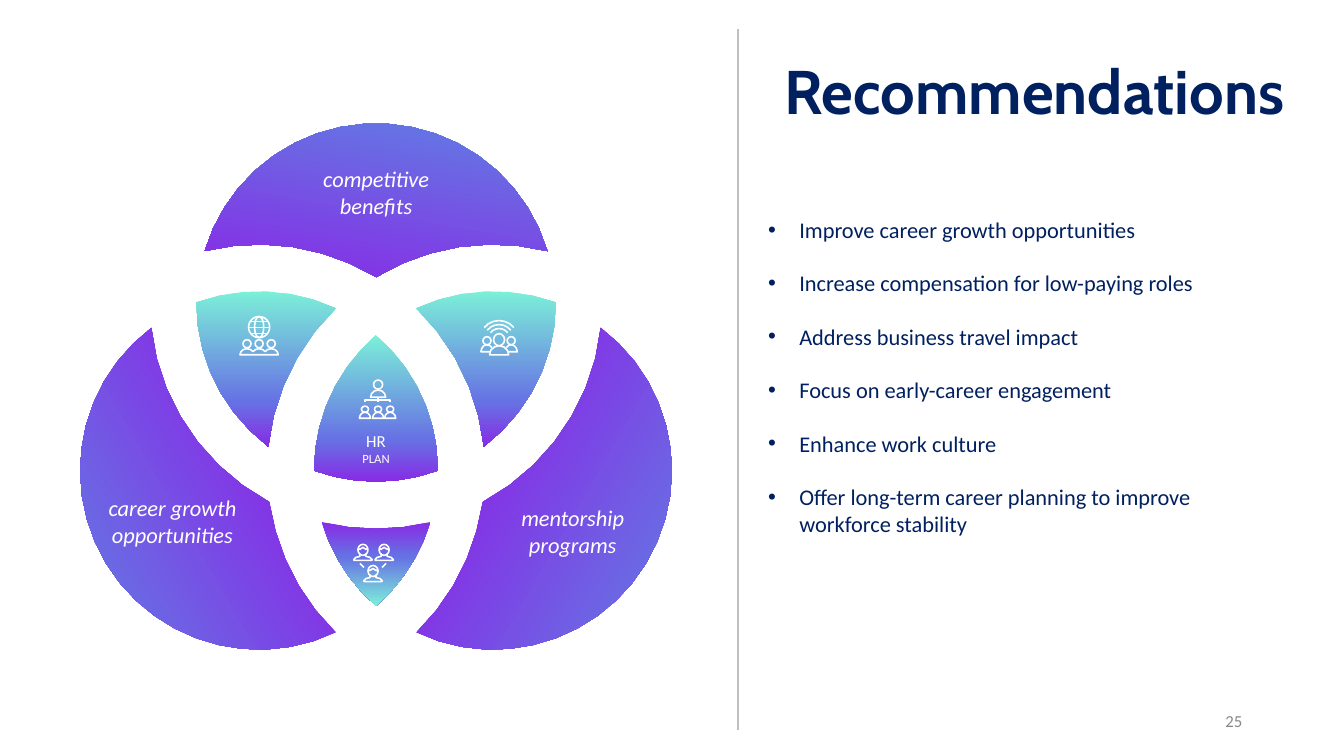
from math import atan2, ceil, cos, degrees, dist, radians, sin

from lxml import etree
from pptx import Presentation
from pptx.dml.color import RGBColor
from pptx.enum.shapes import MSO_CONNECTOR, MSO_SHAPE
from pptx.enum.text import MSO_ANCHOR, PP_ALIGN
from pptx.oxml.ns import qn
from pptx.util import Emu, Inches, Pt

STRAIGHT = MSO_CONNECTOR.STRAIGHT
ELLIPSE = MSO_SHAPE.OVAL
MIDDLE, TOP = MSO_ANCHOR.MIDDLE, MSO_ANCHOR.TOP
LEFT, CENTER, RIGHT = PP_ALIGN.LEFT, PP_ALIGN.CENTER, PP_ALIGN.RIGHT

COLUMNS, ROWS = 13.33, 7.5
CELL = Inches(1)
NAVY, WHITE, GRAY, RULE = "002060", "FFFFFF", "888888", "BFBFBF"
VIOLET, BLUE, MINT = "882BE5", "6672E4", "7CEFD8"
ICON_LINE = 1.12
PIECE_STEP, ICON_STEP = 8, 30

AXIS = 3.73
CIRCLES = {"left": (2.57, 4.67), "top": (AXIS, 3.0), "right": (4.89, 4.67)}
OPPOSITE = {"left": "right", "right": "left", "top": "top"}
PETAL_STOPS = [(0, VIOLET), (28, VIOLET), (92, BLUE), (100, MINT)]
TOP_STOPS = [(0, MINT), (3, MINT), (13, BLUE), (99, VIOLET), (100, VIOLET)]
OVERLAP_STOPS = [(0, MINT), (71, BLUE), (100, VIOLET)]
BOTTOM_STOPS = [(0, VIOLET), (42, BLUE), (100, MINT)]

LEFT_PETAL = [(1.5, 3.25, "left"), (3.33, 6.27, "right"), (2.67, 4.98, "top")]
TOP_PETAL = [(2.03, 2.49, "top"), (5.43, 2.49, "right"), (AXIS, 2.75, "left")]
BOTTOM_OVERLAP = [(3.19, 5.18, "right"), (AXIS, 6.01, "left"), (4.27, 5.18, "top")]
RIGHT_OVERLAP = [(4.13, 3.06, "right"), (5.51, 3.0, "top"), (4.8, 4.43, "left")]
CORE = [(AXIS, 3.32, "left"), (4.34, 4.67, "top"), (3.12, 4.67, "right")]

RECOMMENDATIONS = [
    "Improve career growth opportunities",
    "Increase compensation for low-paying roles",
    "Address business travel impact",
    "Focus on early-career engagement",
    "Enhance work culture",
    "Offer long-term career planning to improve workforce stability",
]


def color(value):
    """Turn a hex string into a colour."""
    return RGBColor.from_string(value)


def cells(*values):
    """Turn grid cells into slide lengths."""
    return [Emu(round(value * CELL)) for value in values]


def oval_points(center, radius_x, radius_y, start, end, step=ICON_STEP):
    """List points along an oval between two clockwise angles."""
    count = ceil(abs(end - start) / step)
    angles = [radians(start + (end - start) * index / count) for index in range(count + 1)]
    return [(center[0] + radius_x * cos(angle), center[1] + radius_y * sin(angle))
            for angle in angles]


def arc_between(center, start, end):
    """List points on the shorter arc between two points, without the last."""
    first, last = (degrees(atan2(y - center[1], x - center[0])) for x, y in (start, end))
    sweep = (last - first + 180) % 360 - 180
    radius = (dist(center, start) + dist(center, end)) / 2
    return oval_points(center, radius, radius, first, first + sweep, PIECE_STEP)[:-1]


def mirrored(corners):
    """Reflect a diagram piece across the vertical axis."""
    reflected = [(2 * AXIS - x, y) for x, y, _ in corners]
    circles = [OPPOSITE[circle] for _, _, circle in corners]
    return [(*point, circle) for point, circle in zip(reflected, circles)]


def add_outline(shapes, points, closed):
    """Add a shape through the given points."""
    (start_x, start_y), *others = [cells(*point) for point in points]
    builder = shapes.build_freeform(start_x, start_y, scale=1.0)
    builder.add_line_segments(others, close=closed)
    shape = builder.convert_to_shape()
    shape.shadow.inherit = False
    return shape


def add_piece(shapes, corners, stops, angle):
    """Add a gradient piece of the three-circle diagram."""
    points = []
    for index, (x, y, circle) in enumerate(corners):
        following = corners[(index + 1) % len(corners)]
        points += arc_between(CIRCLES[circle], (x, y), following[:2])
    shape = add_outline(shapes, points, True)
    shape.line.fill.background()
    shape.fill.gradient()
    shape.fill.gradient_angle = 360 - angle
    stop_list = shape._element.spPr.find(".//" + qn("a:gsLst"))
    stop_list.clear()
    for position, value in stops:
        stop = etree.SubElement(stop_list, qn("a:gs"), pos=str(position * 1000))
        etree.SubElement(stop, qn("a:srgbClr"), val=value)


def style_stroke(shape):
    """Give an icon part a white line and no fill."""
    shape.fill.background()
    shape.line.color.rgb = color(WHITE)
    shape.line.width = Pt(ICON_LINE)


def add_stroke(shapes, points, closed=False):
    """Add a line drawing to an icon."""
    style_stroke(add_outline(shapes, points, closed))


def add_ring(shapes, center_x, top, width, height):
    """Add an unfilled oval to an icon."""
    ring = shapes.add_shape(ELLIPSE, *cells(center_x - width / 2, top, width, height))
    ring.shadow.inherit = False
    style_stroke(ring)


def add_rule(shapes, start, end, value=WHITE, width=ICON_LINE):
    """Add a straight line."""
    line = shapes.add_connector(STRAIGHT, *cells(*start, *end))
    line.line.color.rgb = color(value)
    line.line.width = Pt(width)
    etree.SubElement(line._element.spPr, qn("a:effectLst"))


def add_person(shapes, center_x, base, head_top, head, shoulders):
    """Add a round head over domed shoulders."""
    add_ring(shapes, center_x, head_top, *head)
    width, height = shoulders
    add_stroke(shapes, oval_points((center_x, base), width / 2, height, 180, 360), True)


def add_colleague(shapes, x, y):
    """Add a person with a fringe and a collar around a head centre."""
    half = [(-0.03, 0.04), (-0.03, 0.07), (-0.07, 0.08), (-0.09, 0.1), (-0.09, 0.11)]
    collar = half + [(-dx, dy) for dx, dy in reversed(half)]
    fringe = [(-0.05, -0.01), (-0.03, 0), (0, -0.02), (0.03, 0), (0.05, -0.01)]
    for offsets in (collar, fringe):
        add_stroke(shapes, [(x + dx, y + dy) for dx, dy in offsets])
    add_ring(shapes, x, y - 0.05, 0.1, 0.11)


def add_hierarchy_icon(shapes):
    """Draw a manager above three staff members."""
    add_person(shapes, 3.75, 3.94, 3.77, (0.09, 0.09), (0.15, 0.07))
    for x in (3.62, 3.75, 3.87):
        add_person(shapes, x, 4.15, 4.03, (0.07, 0.06), (0.11, 0.06))
    add_stroke(shapes, [(3.62, 3.99), (3.62, 3.97), (3.87, 3.97), (3.87, 3.99)])
    add_rule(shapes, (3.75, 3.94), (3.75, 3.99))


def add_network_icon(shapes):
    """Draw three linked colleagues."""
    for x, y in ((3.6, 5.45), (3.81, 5.45), (3.7, 5.66)):
        add_colleague(shapes, x, y)
    add_rule(shapes, (3.57, 5.59), (3.61, 5.63))
    add_rule(shapes, (3.83, 5.59), (3.79, 5.63))


def add_signal_icon(shapes):
    """Draw a leader between two people under signal waves."""
    middle = 4.95
    add_person(shapes, middle, 3.52, 3.31, (0.11, 0.12), (0.19, 0.09))
    shoulder = [(-0.09, 3.49)] + oval_points((-0.12, 3.49), 0.06, 0.07, 180, 325)
    for side in (1, -1):
        add_ring(shapes, middle - side * 0.12, 3.34, 0.08, 0.08)
        add_stroke(shapes, [(middle + side * x, y) for x, y in shoulder])
    for radius in (0.11, 0.15, 0.19):
        add_stroke(shapes, oval_points((middle, 3.37), radius, radius, 219, 321, 20))


def add_globe_icon(shapes):
    """Draw a globe above a team of three."""
    middle = 2.57
    for width in (0.21, 0.09):
        add_ring(shapes, middle, 3.14, width, 0.21)
    for y, half in ((3.19, 0.09), (3.25, 0.11), (3.31, 0.09)):
        add_rule(shapes, (middle - half, y), (middle + half, y))
    team = []
    for offset, start, end in ((-0.12, 180, 329), (0, 211, 329), (0.12, 211, 360)):
        add_ring(shapes, middle + offset, 3.37, 0.08, 0.08)
        team += oval_points((middle + offset, 3.52), 0.07, 0.06, start, end)
    add_stroke(shapes, team, True)


def add_frame(slide, box, anchor=TOP, margins=(0, 0)):
    """Add an empty wrapping text box."""
    frame = slide.shapes.add_textbox(*cells(*box)).text_frame
    frame.word_wrap = True
    frame.vertical_anchor = anchor
    frame.margin_left = frame.margin_right = Inches(margins[0])
    frame.margin_top = frame.margin_bottom = Inches(margins[1])
    return frame


def write(frame, text, size=16, value=WHITE, font="Calibri", bold=False, italic=False,
          align=LEFT, spacing=1.0, before=0, bullet=False):
    """Write one formatted paragraph into a text frame."""
    paragraph = frame.add_paragraph() if frame.text else frame.paragraphs[0]
    paragraph.alignment = align
    paragraph.line_spacing = spacing
    paragraph.space_before = Pt(before)
    run = paragraph.add_run()
    run.text = text
    run.font.name, run.font.size = font, Pt(size)
    run.font.bold, run.font.italic = bold, italic
    run.font.color.rgb = color(value)
    if bullet:
        properties = paragraph._p.get_or_add_pPr()
        properties.set("marL", str(Inches(0.31)))
        properties.set("indent", str(-Inches(0.31)))
        bullet_color = etree.SubElement(properties, qn("a:buClr"))
        etree.SubElement(bullet_color, qn("a:srgbClr"), val=value)
        etree.SubElement(properties, qn("a:buFont"), typeface="Arial")
        etree.SubElement(properties, qn("a:buChar"), char="•")


def add_diagram(slide):
    """Draw the three-circle diagram with its icons and labels."""
    for corners, stops, angle in (
            (LEFT_PETAL, PETAL_STOPS, 150), (TOP_PETAL, TOP_STOPS, 100),
            (mirrored(LEFT_PETAL), PETAL_STOPS, 30), (BOTTOM_OVERLAP, BOTTOM_STOPS, 90),
            (RIGHT_OVERLAP, OVERLAP_STOPS, 90), (mirrored(RIGHT_OVERLAP), OVERLAP_STOPS, 90),
            (CORE, OVERLAP_STOPS, 90)):
        add_piece(slide.shapes, corners, stops, angle)
    for add_icon in (add_hierarchy_icon, add_network_icon, add_signal_icon, add_globe_icon):
        add_icon(slide.shapes.add_group_shape().shapes)
    for text, left, top in (("mentorship programs", 4.99, 5), ("competitive benefits", 3.04, 1.64),
                            ("career growth opportunities", 1.02, 4.9)):
        write(add_frame(slide, (left, top, 1.38, 0.54)), text, italic=True, align=CENTER)
    core_label = add_frame(slide, (3.46, 4.27, 0.54, 0.35))
    write(core_label, "HR", size=12, align=CENTER)
    write(core_label, "PLAN", size=9, align=CENTER)


def main():
    """Build the recommendations slide."""
    presentation = Presentation()
    presentation.slide_width, presentation.slide_height = cells(COLUMNS, ROWS)
    slide = presentation.slides.add_slide(presentation.slide_layouts[6])
    add_diagram(slide)
    add_rule(slide.shapes, (7.32, 0.29), (7.32, 7.24), RULE, 0.75)
    write(add_frame(slide, (7.78, 0.6, 5.16, 0.67)), "Recommendations", size=44, value=NAVY,
          font="Cabin", bold=True, spacing=0.91)
    advice = add_frame(slide, (7.52, 2.07, 5.26, 3.33), MIDDLE, (0.1, 0.05))
    for index, text in enumerate(RECOMMENDATIONS):
        write(advice, text, value=NAVY, before=19 if index else 0, bullet=True)
    write(add_frame(slide, (9.42, 6.95, 3, 0.4), MIDDLE, (0.1, 0.05)), "25", size=12,
          value=GRAY, align=RIGHT)
    presentation.save("out.pptx")


if __name__ == "__main__":
    main()
